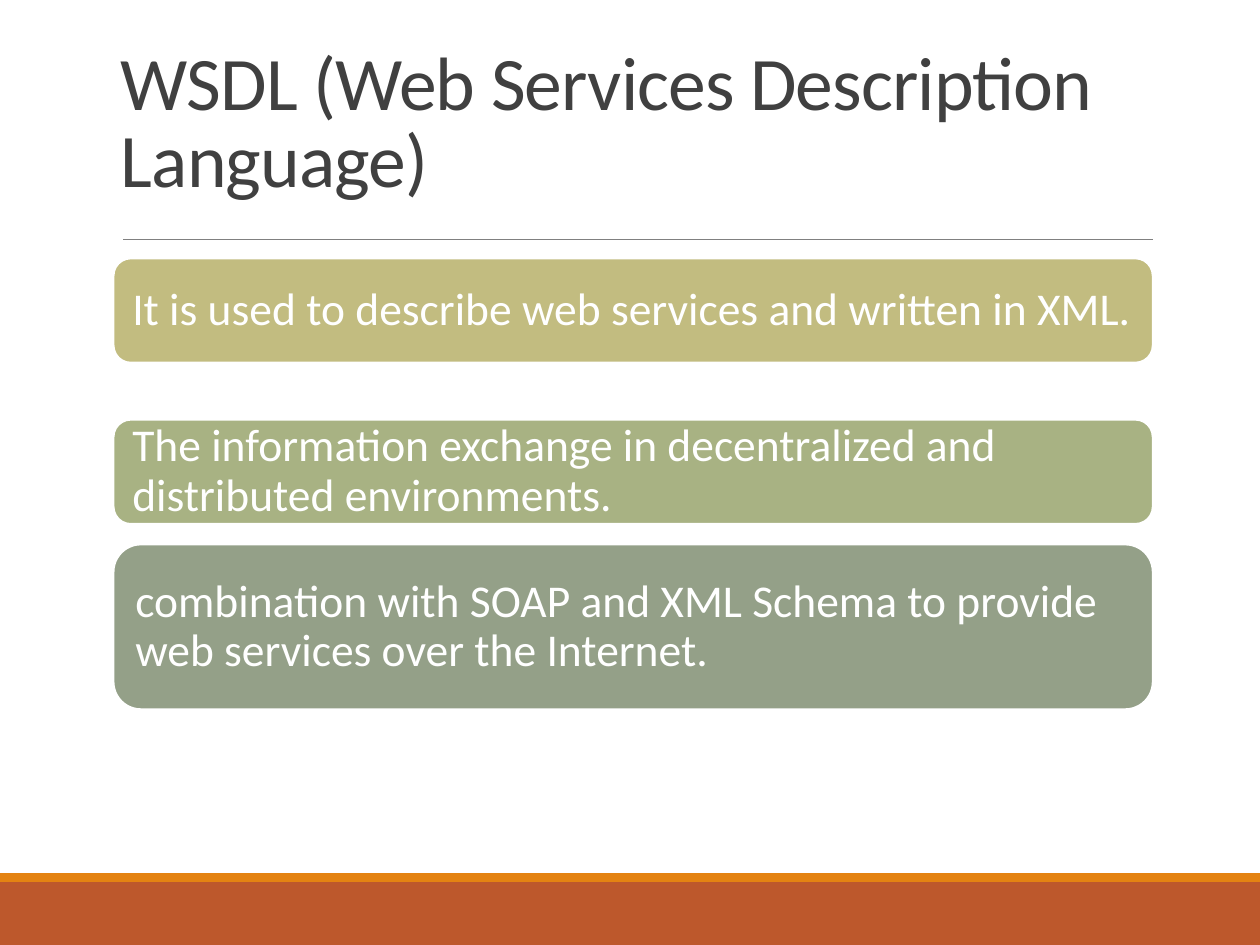
from pptx import Presentation
from pptx.dml.color import RGBColor
from pptx.enum.shapes import MSO_CONNECTOR, MSO_SHAPE
from pptx.enum.text import MSO_ANCHOR, MSO_AUTO_SIZE, PP_ALIGN
from pptx.oxml.ns import qn
from pptx.util import Inches, Pt
from lxml import etree

FONT = "Calibri"
WHITE = "FFFFFF"
# top, height, fill, text
CARDS = [
    (2.05, 0.83, "C2BC80", "It is used to describe web services and written in XML."),
    (3.33, 0.83, "A8B283", "The information exchange in decentralized and distributed environments."),
    (4.32, 1.31, "94A088", "combination with SOAP and XML Schema to provide web services over the Internet."),
]


def color(value):
    return RGBColor.from_string(value)


def format_text(text_frame, text, size, text_color, line_spacing, anchor):
    text_frame.text = text
    text_frame.word_wrap = True
    text_frame.auto_size = MSO_AUTO_SIZE.NONE
    text_frame.vertical_anchor = anchor
    paragraph = text_frame.paragraphs[0]
    paragraph.alignment = PP_ALIGN.LEFT
    paragraph.line_spacing = line_spacing
    run = paragraph.runs[0]
    run.font.name = FONT
    run.font.size = Pt(size)
    run.font.color.rgb = color(text_color)
    return run


def add_box(slide, kind, left, top, width, height, fill):
    shape = slide.shapes.add_shape(kind, Inches(left), Inches(top), Inches(width), Inches(height))
    shape.shadow.inherit = False
    shape.fill.solid()
    shape.fill.fore_color.rgb = color(fill)
    shape.line.fill.background()
    return shape


def add_footer(slide, left, top, width, height):
    stripe = 0.07
    add_box(slide, MSO_SHAPE.RECTANGLE, left, top + stripe, width, height - stripe, "BD582C")
    add_box(slide, MSO_SHAPE.RECTANGLE, left, top, width, stripe, "E48312")


def add_title(slide, left, top, width, height):
    title = slide.shapes.title
    title.left, title.top = Inches(left), Inches(top)
    title.width, title.height = Inches(width), Inches(height)
    run = format_text(title.text_frame, "WSDL (Web Services Description Language)",
                      43.2, "404040", 0.85, MSO_ANCHOR.BOTTOM)
    run.font._element.set("spc", "-50")  # tightened letter spacing


def add_rule(slide, left, top, width):
    rule = slide.shapes.add_connector(MSO_CONNECTOR.STRAIGHT, Inches(left), Inches(top),
                                      Inches(left + width), Inches(top))
    rule.line.color.rgb = color("808080")
    rule.line.width = Pt(0.5)
    etree.SubElement(rule._element.spPr, qn("a:effectLst"))


def add_card(slide, left, top, width, height, fill, text):
    card = add_box(slide, MSO_SHAPE.ROUNDED_RECTANGLE, left, top, width, height, fill)
    card.line.color.rgb = color(WHITE)
    card.line.width = Pt(1.25)
    frame = card.text_frame
    frame.margin_left = frame.margin_right = Inches(0.11)
    frame.margin_top = frame.margin_bottom = Inches(0.11)
    format_text(frame, text, 26, WHITE, 0.9, MSO_ANCHOR.MIDDLE)


def main():
    presentation = Presentation()
    presentation.slide_width, presentation.slide_height = Inches(10), Inches(7.5)
    slide = presentation.slides.add_slide(presentation.slide_layouts[5])

    # Frame of the page
    add_footer(slide, 0, 6.93, 10, 0.57)
    add_rule(slide, 0.98, 1.9, 8.17)
    add_title(slide, 0.86, 0.28, 8.25, 1.38)

    # Statements
    for top, height, fill, text in CARDS:
        add_card(slide, 0.9, top, 8.25, height, fill, text)

    presentation.save("out.pptx")


if __name__ == "__main__":
    main()
